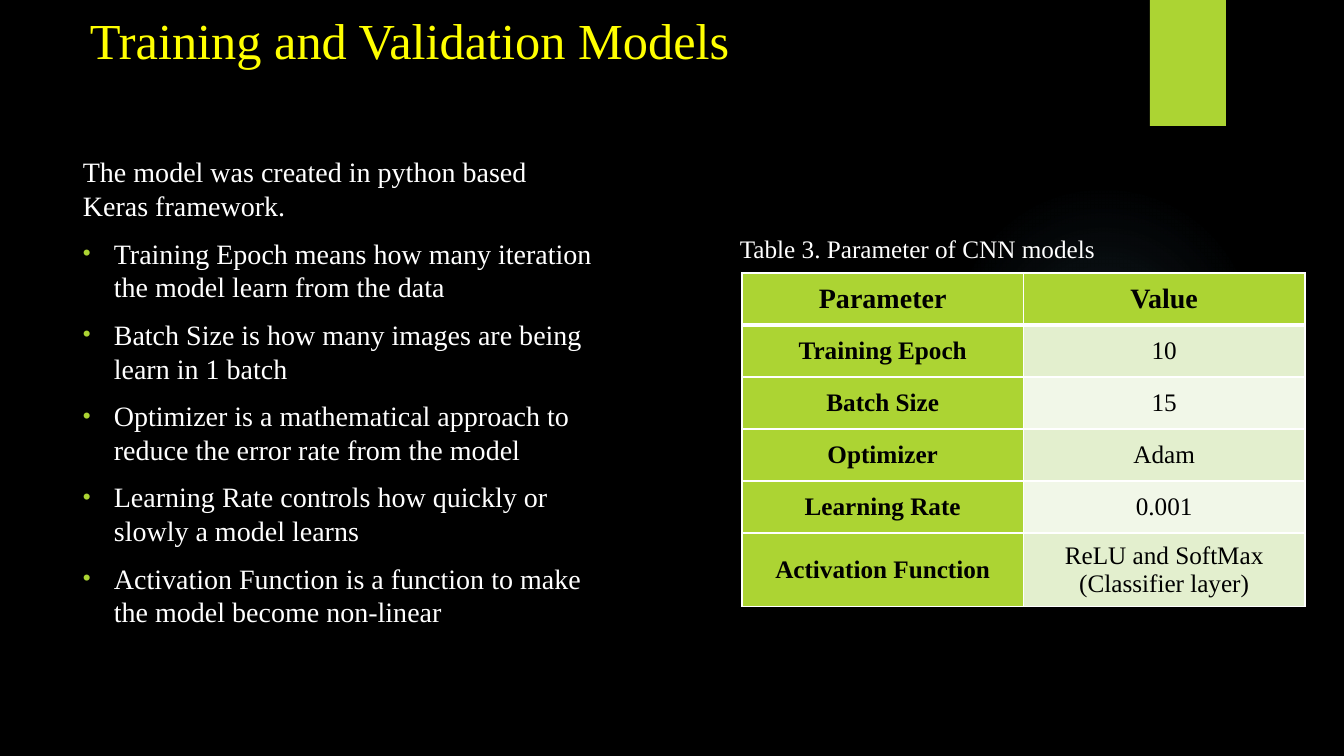
"""Build the slide on training and validation models."""
from lxml.etree import SubElement
from pptx import Presentation
from pptx.dml.color import RGBColor
from pptx.enum.shapes import MSO_SHAPE
from pptx.enum.text import MSO_ANCHOR, MSO_AUTO_SIZE, PP_ALIGN
from pptx.oxml import parse_xml
from pptx.oxml.ns import nsdecls, qn
from pptx.util import Pt

EMU_PER_PX = 12192000 / 1344
FONT = "Times New Roman"
COLORS = {
    "background": "000000",
    "accent": "ACD433",
    "glow": "7AC4F0",
    "title": "FFFF00",
    "text": "FFFFFF",
    "cell_text": "000000",
    "border": "FFFFFF",
    "band_dark": "E3EFCE",
    "band_light": "F1F7E8",
}
INTRO = "The model was created in python based Keras framework."
DEFINITIONS = [
    "Training Epoch means how many iteration the model learn from the data",
    "Batch Size is how many images are being learn in 1 batch",
    "Optimizer is a mathematical approach to reduce the error rate from the model",
    "Learning Rate controls how quickly or slowly a model learns",
    "Activation Function is a function to make the model become non-linear",
]
PARAMETERS = [
    ("Parameter", "Value"),
    ("Training Epoch", "10"),
    ("Batch Size", "15"),
    ("Optimizer", "Adam"),
    ("Learning Rate", "0.001"),
    ("Activation Function", "ReLU and SoftMax (Classifier layer)"),
]


def px(length):
    """Turn pixels into EMU."""
    return round(length * EMU_PER_PX)


def rgb(role):
    """Return the colour for a role."""
    return RGBColor.from_string(COLORS[role])


def style(paragraph, size, role, bold=False):
    """Format every run of a paragraph."""
    for run in paragraph.runs:
        run.font.name = FONT
        run.font.size = Pt(size)
        run.font.bold = bold
        run.font.color.rgb = rgb(role)


def add_decoration(slide, kind, box):
    """Add an accent-coloured shape without outline or shadow."""
    decoration = slide.shapes.add_shape(kind, *map(px, box))
    decoration.shadow.inherit = False
    decoration.fill.solid()
    decoration.fill.fore_color.rgb = rgb("accent")
    decoration.line.fill.background()
    return decoration


def add_glow(slide, box):
    """Add a faint circle that fades out from its centre."""
    glow = add_decoration(slide, MSO_SHAPE.OVAL, box)
    stops = "".join(
        f'<a:gs pos="{position * 1000}"><a:srgbClr val="{COLORS["glow"]}">'
        f'<a:alpha val="{alpha * 1000}"/></a:srgbClr></a:gs>'
        for position, alpha in [(0, 7), (36, 6), (69, 0), (100, 0)]
    )
    gradient = parse_xml(
        f'<a:gradFill {nsdecls("a")} rotWithShape="1"><a:gsLst>{stops}</a:gsLst>'
        '<a:path path="circle"><a:fillToRect l="50000" t="50000" r="50000" b="50000"/>'
        "</a:path></a:gradFill>"
    )
    properties = glow.element.spPr
    properties.replace(properties.find(qn("a:solidFill")), gradient)


def add_text(slide, box, lines, size, role, wrap=True):
    """Add a text box with one paragraph per line."""
    frame = slide.shapes.add_textbox(*map(px, box)).text_frame
    frame.word_wrap = wrap
    frame.text = "\n".join(lines)
    for paragraph in frame.paragraphs:
        style(paragraph, size, role)
    return frame


def add_bullet(paragraph, indent):
    """Give a paragraph a hanging accent-coloured bullet."""
    properties = paragraph._p.get_or_add_pPr()
    properties.set("marL", str(px(indent)))
    properties.set("indent", str(-px(indent)))
    bullet_color = SubElement(properties, qn("a:buClr"))
    SubElement(bullet_color, qn("a:srgbClr"), val=COLORS["accent"])
    SubElement(properties, qn("a:buSzPct"), val="80000")
    SubElement(properties, qn("a:buFont"), typeface="Arial")
    SubElement(properties, qn("a:buChar"), char="•")


def add_borders(cell, top, bottom):
    """Draw the four borders of a cell, with widths in points."""
    properties = cell._tc.get_or_add_tcPr()
    for side, width in {"L": 1, "R": 1, "T": top, "B": bottom}.items():
        border = SubElement(properties, qn(f"a:ln{side}"), w=str(Pt(width)))
        fill = SubElement(border, qn("a:solidFill"))
        SubElement(fill, qn("a:srgbClr"), val=COLORS["border"])


def fill_cell(cell, text, row, column):
    """Write and format one cell according to its place."""
    is_heading = row == 0 or column == 0
    band = "band_dark" if row % 2 else "band_light"
    add_borders(cell, top=3 if row == 1 else 1, bottom=3 if row == 0 else 1)
    cell.fill.solid()
    cell.fill.fore_color.rgb = rgb("accent" if is_heading else band)
    cell.margin_left = cell.margin_right = px(7)
    cell.margin_top = cell.margin_bottom = 0
    cell.vertical_anchor = MSO_ANCHOR.MIDDLE
    cell.text_frame.text = text
    paragraph = cell.text_frame.paragraphs[0]
    paragraph.alignment = PP_ALIGN.CENTER
    style(paragraph, 18 if row else 20, "cell_text", is_heading)


def add_parameter_table(slide, box, row_height, last_height):
    """Add the table of model parameters."""
    table = slide.shapes.add_table(len(PARAMETERS), 2, *map(px, box)).table
    table.horz_banding = False
    for row, texts in enumerate(PARAMETERS):
        table.rows[row].height = px(row_height)
        for column, text in enumerate(texts):
            fill_cell(table.cell(row, column), text, row, column)
    table.rows[len(PARAMETERS) - 1].height = px(last_height)


def main():
    """Build and save the slide."""
    deck = Presentation()
    deck.slide_width, deck.slide_height = px(1344), px(756)
    slide = deck.slides.add_slide(deck.slide_layouts[6])
    slide.background.fill.solid()
    slide.background.fill.fore_color.rgb = rgb("background")

    add_glow(slide, (949, 184, 310, 310))
    add_decoration(slide, MSO_SHAPE.RECTANGLE, (1150, 0, 76, 126))

    body = add_text(slide, (73, 150, 529, 586), [INTRO, *DEFINITIONS], 20, "text")
    for definition in body.paragraphs[1:]:
        add_bullet(definition, 31)
        definition.space_before = Pt(10)

    add_parameter_table(slide, (742, 273, 563, 334), 52, 74)
    caption = add_text(slide, (730, 228, 379, 40),
                       ["Table 3. Parameter of CNN models"], 18, "text", wrap=False)
    caption.auto_size = MSO_AUTO_SIZE.SHAPE_TO_FIT_TEXT

    title = add_text(slide, (0, 0, 1344, 75),
                     ["Training and Validation Models"], 36, "title")
    title.vertical_anchor = MSO_ANCHOR.BOTTOM
    title.paragraphs[0]._p.get_or_add_pPr().set("indent", str(px(80)))

    deck.save("out.pptx")


if __name__ == "__main__":
    main()
